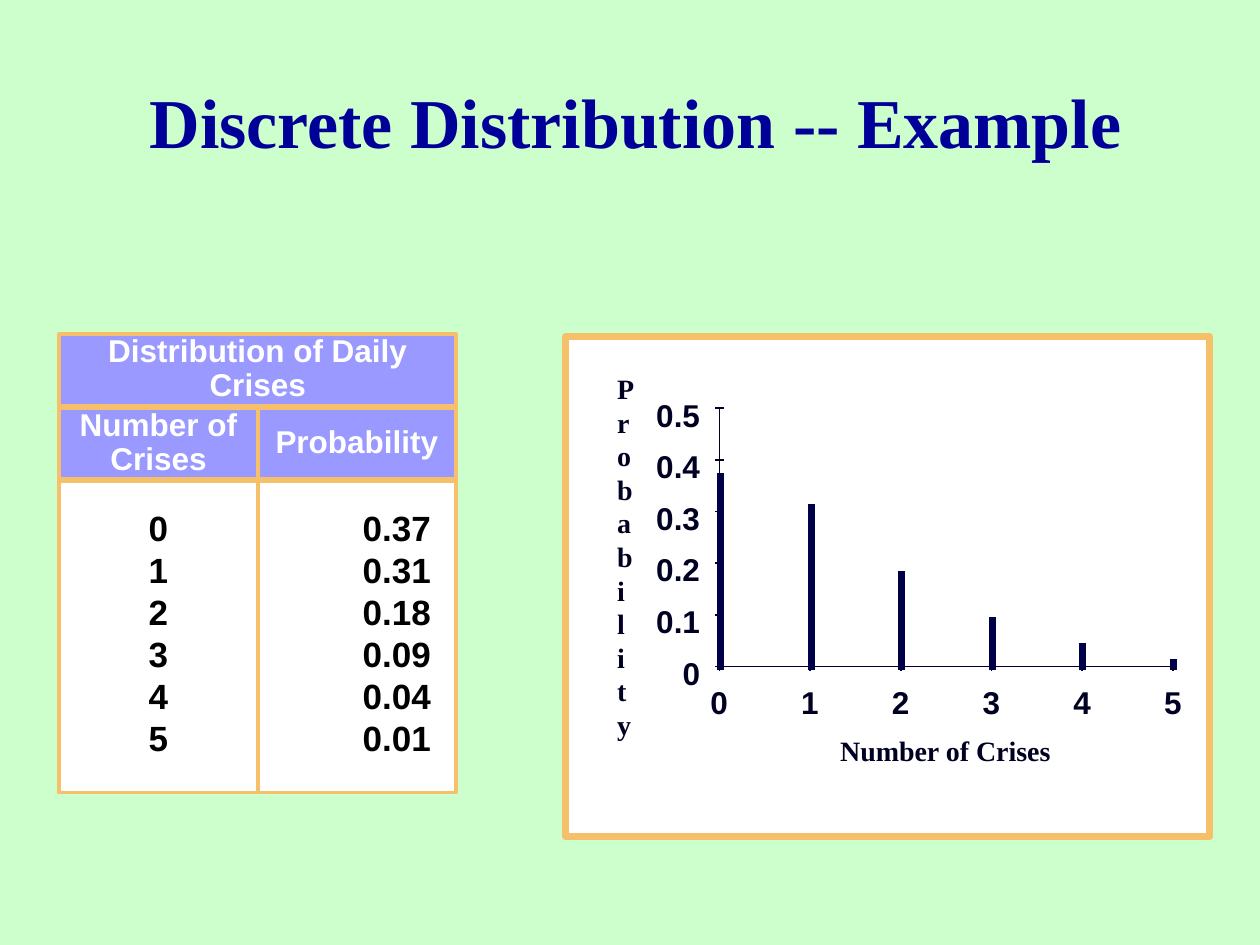
from lxml import etree
from pptx import Presentation
from pptx.dml.color import RGBColor
from pptx.enum.shapes import MSO_CONNECTOR as Connector, MSO_SHAPE as Shape
from pptx.enum.text import MSO_ANCHOR as Anchor, MSO_AUTO_SIZE as AutoSize, PP_ALIGN as Align
from pptx.oxml.ns import qn
from pptx.util import Inches, Pt

SANS, SERIF = "Arial", "Times New Roman"
BORDER, INK, STICK = "F6BF69", "000022", "000048"
PROBABILITIES = [0.37, 0.31, 0.18, 0.09, 0.04, 0.01]

HEADING = {"size": Pt(18), "name": SANS, "bold": True, "color": "FFFFFF"}
BODY = {"size": Pt(20), "name": SANS, "bold": True, "color": "000000"}
AXIS_NUMBER = {"size": Pt(18), "name": SANS, "bold": True, "color": INK}
AXIS_TITLE = {"size": Pt(16), "name": SERIF, "bold": True, "color": INK}
TITLE = {"size": Pt(40), "name": SERIF, "bold": True, "color": "000099"}


def rgb(value):
    return RGBColor.from_string(value)


def write(frame, lines, style, align=Align.LEFT, spacing=None):
    """Fill a text frame with one paragraph per line."""
    frame.text = "\n".join(lines)
    for paragraph in frame.paragraphs:
        paragraph.alignment = align
        paragraph.line_spacing = spacing
        for key, value in style.items():
            if key == "color":
                paragraph.font.color.rgb = rgb(value)
            else:
                setattr(paragraph.font, key, value)


def add_panel(shapes, left, top, width, height, fill, line_width):
    panel = shapes.add_shape(Shape.RECTANGLE, *map(Inches, (left, top, width, height)))
    panel.shadow.inherit = False
    panel.fill.solid()
    panel.fill.fore_color.rgb = rgb(fill)
    panel.line.color.rgb = rgb(BORDER)
    panel.line.width = Pt(line_width)
    return panel


def add_line(shapes, x1, y1, x2, y2, color=INK, width=1):
    line = shapes.add_connector(Connector.STRAIGHT, *map(Inches, (x1, y1, x2, y2)))
    line.line.color.rgb = rgb(color)
    line.line.width = Pt(width)
    etree.SubElement(line._element.spPr, qn("a:effectLst"))


def add_label(shapes, lines, left, top, width, height, style):
    label = shapes.add_textbox(*map(Inches, (left, top, width, height)))
    label.text_frame.word_wrap = False
    label.text_frame.auto_size = AutoSize.SHAPE_TO_FIT_TEXT
    write(label.text_frame, lines, style)


def place_title(slide, left, top, width, height):
    title = slide.shapes.title
    box = {"left": left, "top": top, "width": width, "height": height}
    for key, value in box.items():
        setattr(title, key, Inches(value))
    title.text_frame.vertical_anchor = Anchor.MIDDLE
    write(title.text_frame, ["Discrete Distribution -- Example"], TITLE, Align.CENTER)


def place_distribution(slide, left, top, width, height):
    """Two columns of values under a shared heading."""
    shapes = slide.shapes.add_group_shape().shapes
    row_height, row_pitch, column_width = 0.57, 0.585, width / 2
    body_top = top + 2 * row_pitch

    # Value columns
    columns = [
        ([str(count) for count in range(len(PROBABILITIES))], Align.CENTER),
        ([f"{value:.2f}" for value in PROBABILITIES], Align.RIGHT),
    ]
    for index, (values, align) in enumerate(columns):
        cell = add_panel(shapes, left + index * column_width, body_top,
                         column_width, top + height - body_top, "FFFFFF", 2.25)
        frame = cell.text_frame
        for side in ("left", "top", "right", "bottom"):
            setattr(frame, f"margin_{side}", Inches(0.2))
        frame.vertical_anchor = Anchor.TOP
        write(frame, values, BODY, align)

    # Column headings, then the heading over both
    headings = [
        ("Number of Crises", left, top + row_pitch, column_width),
        ("Probability", left + column_width, top + row_pitch, column_width),
        ("Distribution of Daily Crises", left, top, width),
    ]
    for text, cell_left, cell_top, cell_width in headings:
        cell = add_panel(shapes, cell_left, cell_top, cell_width, row_height, "9999FF", 2.25)
        cell.text_frame.vertical_anchor = Anchor.MIDDLE
        write(cell.text_frame, [text], HEADING, Align.CENTER, 0.9)


def place_stick_plot(slide, left, top, width, height):
    """Probability sticks over the number of crises."""
    shapes = slide.shapes.add_group_shape().shapes
    add_panel(shapes, left, top, width, height, "FFFFFF", 4)
    origin_x, origin_y = left + 1.22, top + 2.62
    step_x, step_y, tick = 0.72, 0.41, 0.035

    # Axes with tick marks
    add_line(shapes, origin_x, origin_y, origin_x, origin_y - 5 * step_y)
    add_line(shapes, origin_x, origin_y, origin_x + 5 * step_x, origin_y)
    for index in range(6):
        x, y = origin_x + index * step_x, origin_y - index * step_y
        add_line(shapes, origin_x - tick, y, origin_x + tick, y)
        add_line(shapes, x, origin_y + tick, x, origin_y - tick)

        # Axis numbers
        label_width = 0.55 if index else 0.34
        add_label(shapes, [f"{index / 10:g}"], origin_x - 0.05 - label_width, y - 0.15,
                  label_width, 0.4, AXIS_NUMBER)
        add_label(shapes, [str(index)], x - 0.17, origin_y + 0.08, 0.34, 0.4, AXIS_NUMBER)

    # Probability sticks
    for index, value in enumerate(PROBABILITIES):
        x = origin_x + 0.01 + index * (step_x - 0.002)
        add_line(shapes, x, origin_y + 0.03, x,
                 origin_y - 0.02 - value * 10 * step_y, STICK, 4)

    # Axis titles
    add_label(shapes, list("Probability"), left + 0.31, top + 0.23, 0.33, 3.03, AXIS_TITLE)
    add_label(shapes, ["Number of Crises"], left + 2.08, top + 3.1, 1.87, 0.36, AXIS_TITLE)


def main():
    deck = Presentation()
    deck.slide_width, deck.slide_height = Inches(10), Inches(7.5)
    slide = deck.slides.add_slide(deck.slide_layouts[5])
    slide.background.fill.solid()
    slide.background.fill.fore_color.rgb = rgb("CCFFCC")
    place_title(slide, 0.42, 0.33, 9.25, 1.25)
    place_distribution(slide, 0.47, 2.65, 3.15, 3.64)
    place_stick_plot(slide, 4.49, 2.67, 5.11, 3.97)
    deck.save("out.pptx")


if __name__ == "__main__":
    main()
